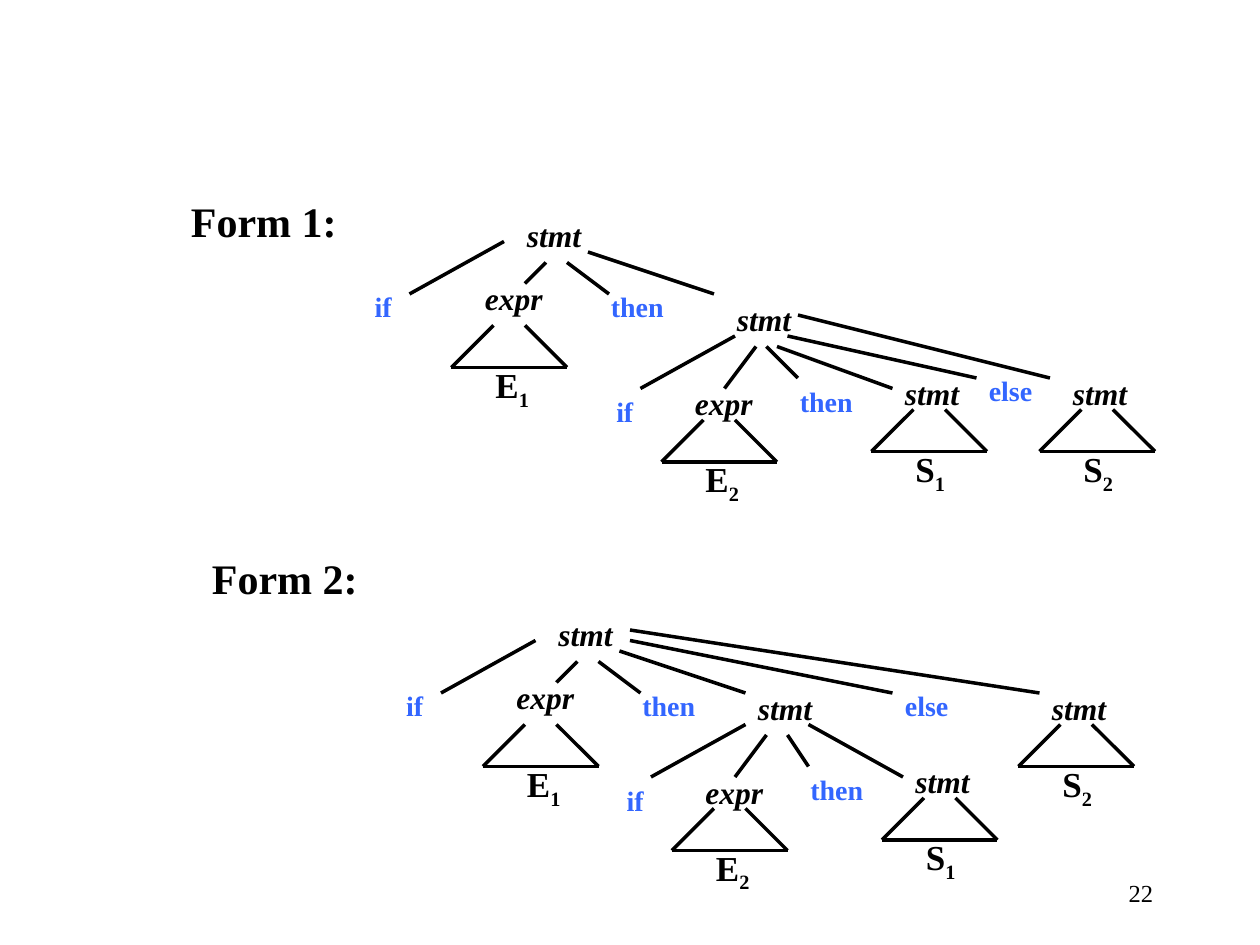
"""Build the slide with the two parse trees of the dangling-else statement."""
from dataclasses import dataclass
from typing import NamedTuple

from pptx import Presentation, util as u
from pptx.dml import color
from pptx.enum import shapes, text
from pptx.oxml import ns
from pptx.shapes.connector import Connector
from pptx.text.text import _Run
from lxml import etree

COLOURS = {"ink": "000000", "keyword": "3366FF"}
FONT = "Times New Roman"


class Style(NamedTuple):
    width: float
    height: float
    size: float
    bold: bool = True
    italic: bool = False
    colour: str = "ink"


HEADING = Style(162, 36, 24)
SYMBOL = Style(54, 29, 18, italic=True)
KEYWORD = Style(54, 26.5, 16, colour="keyword")
SUBTREE_NAME = Style(36, 34.5, 20)
PAGE_NUMBER = Style(150, 36, 14, bold=False)


class Word(NamedTuple):
    wording: str
    x: float
    y: float


class Subtree(NamedTuple):
    symbol: Word
    letter: str
    index: str
    drop: float = 24


class Branch(NamedTuple):
    x1: float
    y1: float
    x2: float
    y2: float


@dataclass
class Tree:
    heading: Word
    statements: list[Word]
    subtrees: list[Subtree]
    keywords: list[Word]
    branches: list[Branch]


TREES = [
    Tree(
        Word("Form 1:", 102, 108),
        [Word("stmt", 294, 120), Word("stmt", 414, 168)],
        [
            Subtree(Word("expr", 270, 156), "E", "1", 30),
            Subtree(Word("expr", 390, 216), "E", "2"),
            Subtree(Word("stmt", 510, 210), "S", "1"),
            Subtree(Word("stmt", 606, 210), "S", "2"),
        ],
        [
            Word("if", 192, 162), Word("then", 342, 162), Word("if", 330, 222),
            Word("then", 450, 216), Word("else", 558, 210),
        ],
        [
            Branch(288, 138, 234, 168), Branch(312, 150, 300, 162),
            Branch(324, 150, 348, 168), Branch(336, 144, 408, 168),
            Branch(420, 192, 366, 222), Branch(432, 198, 414, 222),
            Branch(438, 198, 456, 216), Branch(444, 198, 510, 222),
            Branch(450, 192, 558, 216), Branch(456, 180, 600, 216),
        ],
    ),
    Tree(
        Word("Form 2:", 114, 312),
        [Word("stmt", 312, 348), Word("stmt", 426, 390)],
        [
            Subtree(Word("expr", 288, 384), "E", "1", 30),
            Subtree(Word("expr", 396, 438), "E", "2"),
            Subtree(Word("stmt", 516, 432), "S", "1"),
            Subtree(Word("stmt", 594, 390), "S", "2"),
        ],
        [
            Word("if", 210, 390), Word("then", 360, 390), Word("else", 510, 390),
            Word("if", 336, 444), Word("then", 456, 438),
        ],
        [
            Branch(306, 366, 252, 396), Branch(330, 378, 318, 390),
            Branch(342, 378, 366, 396), Branch(354, 372, 426, 396),
            Branch(360, 366, 510, 396), Branch(360, 360, 594, 396),
            Branch(426, 414, 372, 444), Branch(438, 420, 420, 444),
            Branch(450, 420, 462, 438), Branch(462, 414, 516, 444),
        ],
    ),
]


def format_run(run: _Run, style: Style) -> None:
    """Apply a text style to one run."""
    run.font.name = FONT
    run.font.size = u.Pt(style.size)
    run.font.bold = style.bold
    run.font.italic = style.italic
    run.font.color.rgb = color.RGBColor.from_string(COLOURS[style.colour])


def draw_word(container, word: Word, style: Style, align=text.PP_ALIGN.LEFT, subscript: str = ""):
    """Draw a text box, with an optional subscript, and return its frame."""
    box = container.add_textbox(
        u.Pt(word.x), u.Pt(word.y), u.Pt(style.width), u.Pt(style.height)
    )
    frame = box.text_frame
    frame.word_wrap = True
    paragraph = frame.paragraphs[0]
    paragraph.text = word.wording
    paragraph.alignment = align
    if subscript:
        run = paragraph.add_run()
        run.text = subscript
        run.font._element.set("baseline", "-25000")
    for run in paragraph.runs:
        format_run(run, style)
    return frame


def draw_branch(container, branch: Branch) -> Connector:
    """Draw a straight black line without a shadow."""
    line = container.add_connector(
        shapes.MSO_CONNECTOR.STRAIGHT, *(u.Pt(value) for value in branch)
    )
    line.line.width = u.Pt(2)
    line.line.color.rgb = color.RGBColor.from_string(COLOURS["ink"])
    etree.SubElement(line._element.spPr, ns.qn("a:effectLst"))
    return line


def draw_subtree(container, subtree: Subtree) -> None:
    """Draw a symbol, the open triangle under it and the subtree name."""
    symbol = subtree.symbol
    top = symbol.y + subtree.drop
    base = top + 24
    left, right = symbol.x - 12, symbol.x + 54
    draw_word(container, symbol, SYMBOL)
    draw_branch(container, Branch(left + 24, top, left, base))
    draw_branch(container, Branch(right - 24, top, right, base))
    draw_branch(container, Branch(left, base, right, base))
    name = Word(subtree.letter, symbol.x + 6, base - 6)
    draw_word(container, name, SUBTREE_NAME, subscript=subtree.index)


def draw_tree(slide, tree: Tree) -> None:
    """Draw a heading and its grouped parse tree."""
    draw_word(slide.shapes, tree.heading, HEADING)
    group = slide.shapes.add_group_shape().shapes
    for statement in tree.statements:
        draw_word(group, statement, SYMBOL)
    for subtree in tree.subtrees:
        draw_subtree(group, subtree)
    for keyword in tree.keywords:
        centred = keyword.wording == "if"
        align = text.PP_ALIGN.CENTER if centred else text.PP_ALIGN.LEFT
        draw_word(group, keyword, KEYWORD, align)
    for branch in tree.branches:
        draw_branch(group, branch)


def main() -> None:
    """Assemble and save the presentation."""
    presentation = Presentation()
    presentation.slide_width = u.Pt(720)
    presentation.slide_height = u.Pt(540)
    slide = presentation.slides.add_slide(presentation.slide_layouts[6])
    for tree in TREES:
        draw_tree(slide, tree)
    number = draw_word(slide.shapes, Word("22", 516, 492), PAGE_NUMBER, text.PP_ALIGN.RIGHT)
    number.vertical_anchor = text.MSO_ANCHOR.MIDDLE
    presentation.save("out.pptx")


if __name__ == "__main__":
    main()
